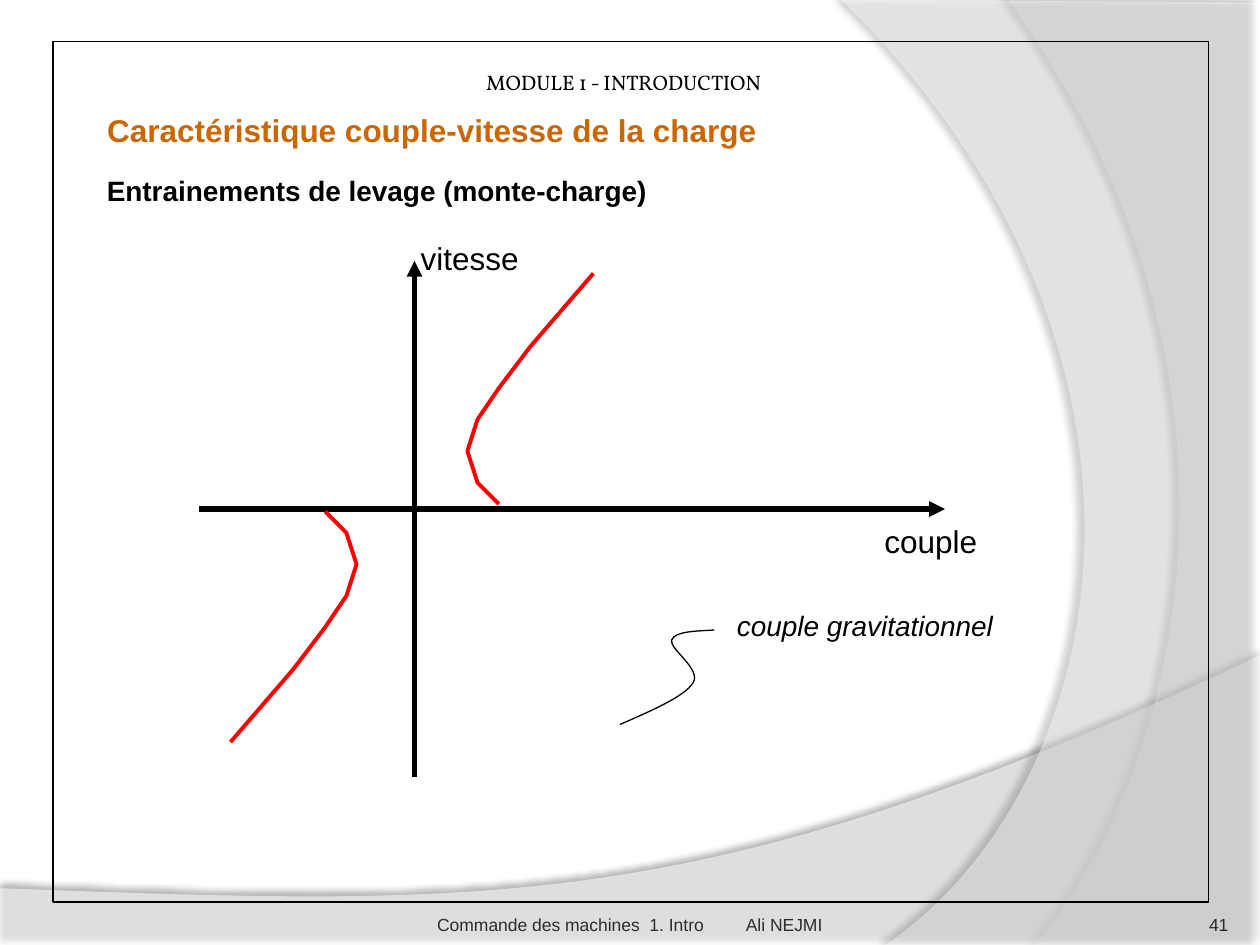
from dataclasses import dataclass

from lxml import etree
from pptx import Presentation
from pptx.dml.color import RGBColor
from pptx.enum.shapes import MSO_CONNECTOR, MSO_SHAPE
from pptx.enum.text import MSO_ANCHOR, MSO_AUTO_SIZE, PP_ALIGN
from pptx.oxml.ns import qn
from pptx.util import Inches, Pt

STRAIGHT = MSO_CONNECTOR.STRAIGHT
RECTANGLE = MSO_SHAPE.RECTANGLE
TOP, BOTTOM = MSO_ANCHOR.TOP, MSO_ANCHOR.BOTTOM
LEFT, RIGHT = PP_ALIGN.LEFT, PP_ALIGN.RIGHT
FIT_SHAPE, NO_FIT = MSO_AUTO_SIZE.SHAPE_TO_FIT_TEXT, MSO_AUTO_SIZE.NONE
TITLE_ONLY = 5


@dataclass(frozen=True)
class Theme:
    """Colours, fonts and type sizes of the slide."""
    white: str = "FFFFFF"
    black: str = "000000"
    orange: str = "CC6600"
    red: str = "FF0000"
    footer: str = "2C2C2C"
    number: str = "292929"
    font: str = "Arial"
    module_font: str = "Vollkorn"
    large: int = 18
    medium: int = 16
    module: int = 12
    small: int = 10
    axis: float = 3
    curve: float = 2.25
    thin: float = 0.75


@dataclass(frozen=True)
class Box:
    """A region of the slide, in inches."""
    left: float
    top: float
    width: float
    height: float

    def inner(self, left, top, width, height):
        """Return a box placed relative to this one."""
        return Box(self.left + left, self.top + top, width, height)

    def lengths(self):
        """Return left, top, width and height as lengths."""
        return [Inches(value) for value in (self.left, self.top, self.width, self.height)]


THEME = Theme()


def write(shape, text, size, color=THEME.black, font=THEME.font, bold=False, italic=False,
          align=LEFT, anchor=TOP, insets=(0.1, 0.05, 0.1, 0.05), wrap=True, fit=FIT_SHAPE):
    """Put one formatted paragraph into a shape and return it."""
    frame = shape.text_frame
    frame.text = text
    frame.word_wrap, frame.auto_size, frame.vertical_anchor = wrap, fit, anchor
    frame.margin_left, frame.margin_top, frame.margin_right, frame.margin_bottom = map(Inches, insets)
    paragraph = frame.paragraphs[0]
    paragraph.alignment = align
    paragraph.font.name, paragraph.font.size = font, Pt(size)
    paragraph.font.bold, paragraph.font.italic = bold, italic
    paragraph.font.color.rgb = RGBColor.from_string(color)
    return paragraph


def add_text(slide, box, text, size, **style):
    """Add a text box and return its paragraph."""
    return write(slide.shapes.add_textbox(*box.lengths()), text, size, **style)


def add_path(slide, box, start, segments, close=False):
    """Add a freeform of line ends (x, y) and cubic curves (x1, y1, x2, y2, x, y)."""
    ends = [(Inches(box.left + x), Inches(box.top + y))
            for x, y in (start, *(segment[-2:] for segment in segments))]
    builder = slide.shapes.build_freeform(*ends[0])
    builder.add_line_segments(ends[1:], close=close)
    shape = builder.convert_to_shape()
    shape.shadow.inherit = False
    for line, segment in zip(list(shape.element.iter(qn("a:lnTo"))), segments):
        if len(segment) == 6:
            line.tag = qn("a:cubicBezTo")
            for index in (0, 1):
                x, y = segment[2 * index:2 * index + 2]
                point = etree.Element(qn("a:pt"), x=str(Inches(box.left + x) - shape.left),
                                      y=str(Inches(box.top + y) - shape.top))
                line.insert(index, point)
    return shape


def set_line(shape, color, width):
    """Give a shape or connector a solid line."""
    shape.line.color.rgb = RGBColor.from_string(color)
    shape.line.width = Pt(width)


def add_curve(slide, box, start, segments, color, width):
    """Add an open unfilled curve."""
    shape = add_path(slide, box, start, segments)
    shape.fill.background()
    set_line(shape, color, width)


def add_swoosh(slide, box, start, segments, opacity, shadow_opacity, distance, direction):
    """Add a translucent white shape with a soft shadow."""
    shape = add_path(slide, box, start, segments, close=True)
    shape.line.fill.background()
    shape.fill.solid()
    shape.fill.fore_color.rgb = RGBColor.from_string(THEME.white)
    properties = shape.element.spPr
    fill = properties.find(qn("a:solidFill"))[0]
    etree.SubElement(fill, qn("a:alpha"), val=str(opacity * 1000))
    shadow = etree.SubElement(
        properties.find(qn("a:effectLst")), qn("a:outerShdw"), blurRad=str(Pt(4)),
        dist=str(Pt(distance)), dir=str(direction * 60000), algn="ctr", rotWithShape="0")
    color = etree.SubElement(shadow, qn("a:srgbClr"), val=THEME.black)
    etree.SubElement(color, qn("a:alpha"), val=str(shadow_opacity * 1000))


def add_backdrop(slide, box):
    """Draw the translucent swooshes behind the content."""
    right, bottom = box.width, box.height
    floor = [(0, 7.51), (right, 7.51), (right, 5.2), (5.59, 7.29, 3.91, 7.19, 0, 7.05)]
    sides = [(8.21, (9.35, 6.19, 10.18, 3, 8, 0)), (7.03, (8.91, 6.19, 9.47, 2.75, 6.68, 0))]
    for foot, curve in sides:
        add_swoosh(slide, box, (0, 7.05), floor, 45, 35, 3.5, 270)
        wall = [(right, bottom), (foot, bottom), curve, (right, 0.02)]
        add_swoosh(slide, box, (right, 0.02), wall, 40, 45, 4, 180)


def add_frame(slide, box):
    """Draw the thin border around the content."""
    shape = slide.shapes.add_shape(RECTANGLE, *box.lengths())
    shape.shadow.inherit = False
    shape.fill.background()
    set_line(shape, THEME.black, THEME.thin)


def add_headings(slide, box):
    """Place the module name, the title and the subtitle."""
    module = add_text(slide, box.inner(0, 0, 7.5, 0.42), "MODULE 1 - INTRODUCTION", THEME.module,
                      font=THEME.module_font, anchor=BOTTOM, insets=(0.1, 0, 0.05, 0), fit=NO_FIT)
    module._p.get_or_add_pPr().set("marL", str(Inches(3.26)))
    title = slide.shapes.title
    title.left, title.top, title.width, title.height = box.inner(0.25, 0.5, 5.75, 0.4).lengths()
    write(title, "Caractéristique couple-vitesse de la charge", THEME.large,
          color=THEME.orange, bold=True)
    add_text(slide, box.inner(0.25, 1, 5.17, 0.37), "Entrainements de levage (monte-charge)",
             THEME.medium, bold=True)


def add_axis(slide, box, start, end):
    """Draw an axis with an arrowhead at its end."""
    x_1, y_1, x_2, y_2 = (Inches(value) for value in (
        box.left + start[0], box.top + start[1], box.left + end[0], box.top + end[1]))
    axis = slide.shapes.add_connector(STRAIGHT, x_1, y_1, x_2, y_2)
    set_line(axis, THEME.black, THEME.axis)
    etree.SubElement(axis.line._get_or_add_ln(), qn("a:tailEnd"), type="triangle")
    etree.SubElement(axis._element.spPr, qn("a:effectLst"))


def add_graph(slide, box):
    """Draw the speed-torque axes and the two load curves."""
    origin_x, origin_y = 1.71, 1.97
    add_axis(slide, box, (origin_x, box.height), (origin_x, 0))
    add_text(slide, box.inner(1.66, -0.22, 0.99, 0.4), "vitesse", THEME.large, wrap=False)
    add_text(slide, box.inner(5.34, 2.02, 0.94, 0.4), "couple", THEME.large, wrap=False)
    add_axis(slide, box, (0, origin_y), (box.width, origin_y))
    lifting = [(2.38, 1.93), (2.21, 1.76), (2.13, 1.51), (2.21, 1.26),
               (2.38, 1.01), (2.63, 0.68), (3.13, 0.1)]
    lowering = [(3.38 - x, 3.92 - y) for x, y in lifting]
    for start, *segments in (lifting, lowering):
        add_curve(slide, box, start, segments, THEME.red, THEME.curve)


def add_callout(slide, box):
    """Draw the wavy leader and its label."""
    leader = [(0.59, 0.23, 0.44, 0.23, 0.41, 0.3), (0.39, 0.37, 0.65, 0.53, 0.58, 0.64),
              (0.51, 0.75, 0.25, 0.86, 0, 0.97)]
    add_curve(slide, box, (0.75, 0.22), leader, THEME.black, THEME.thin)
    add_text(slide, box.inner(0.83, 0, 2.32, 0.37), "couple gravitationnel", THEME.medium,
             italic=True, wrap=False)


def add_footer(slide, box):
    """Place the course name, the author and the slide number."""
    add_text(slide, box.inner(5.5, 0, 0.83, box.height), "41", THEME.small, color=THEME.number,
             align=RIGHT, anchor=BOTTOM, insets=(0, 0, 0, 0), fit=NO_FIT)
    course = add_text(slide, box.inner(0, 0, 3.17, box.height), "", THEME.small,
                      color=THEME.footer, anchor=BOTTOM, insets=(0.05, 0.05, 0, 0), fit=NO_FIT)
    tabs = etree.Element(qn("a:tabLst"))
    etree.SubElement(tabs, qn("a:tab"), pos=str(Inches(2.45)), algn="l")
    course._p.get_or_add_pPr().insert(0, tabs)
    course.add_run().text = "Commande des machines  1. Intro\tAli NEJMI"


def main():
    """Build the slide and save it."""
    presentation = Presentation()
    presentation.slide_width, presentation.slide_height = Inches(10), Inches(7.5)
    slide = presentation.slides.add_slide(presentation.slide_layouts[TITLE_ONLY])
    add_backdrop(slide, Box(0, 0, 10, 7.5))
    add_frame(slide, Box(0.42, 0.33, 9.17, 6.83))
    add_headings(slide, Box(0.5, 0.33, 7.5, 1.37))
    add_graph(slide, Box(1.58, 2.07, 5.92, 4.1))
    add_callout(slide, Box(4.92, 4.78, 3.15, 0.97))
    add_footer(slide, Box(3.42, 7.02, 6.33, 0.4))
    presentation.save("out.pptx")


if __name__ == "__main__":
    main()
